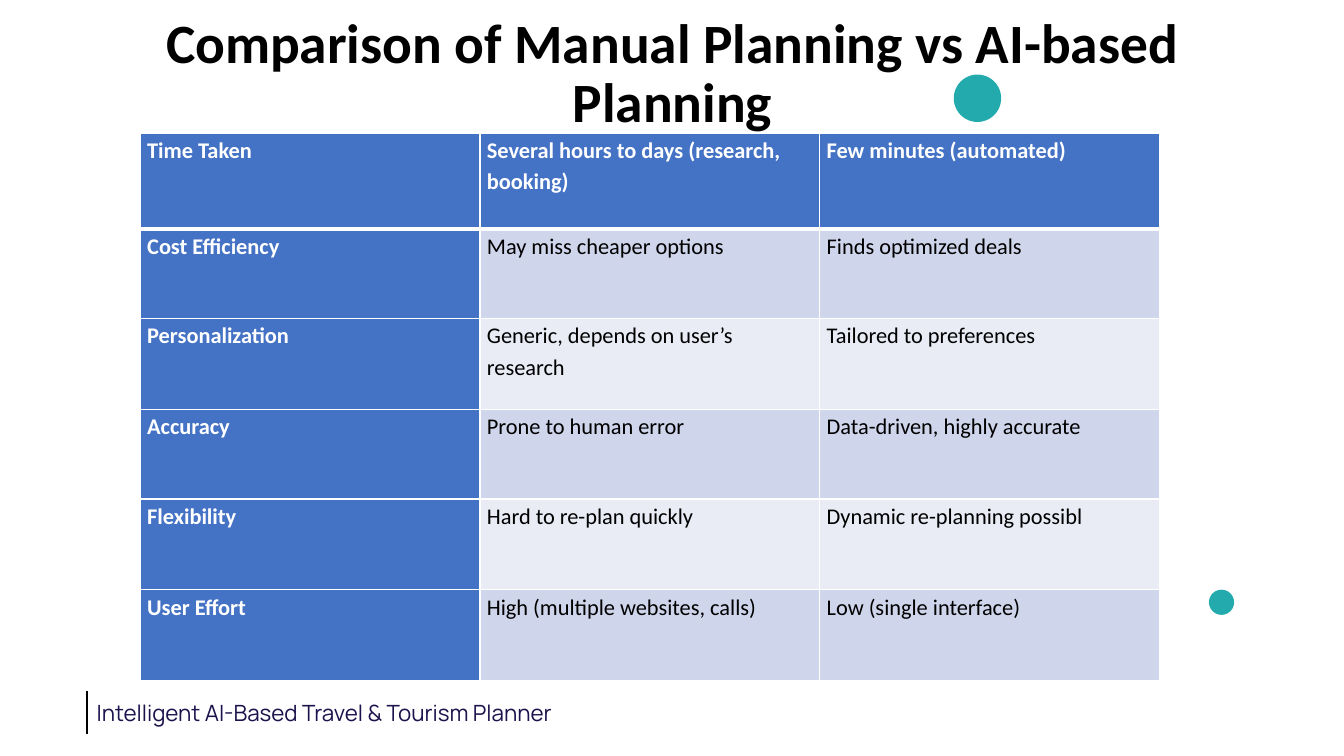
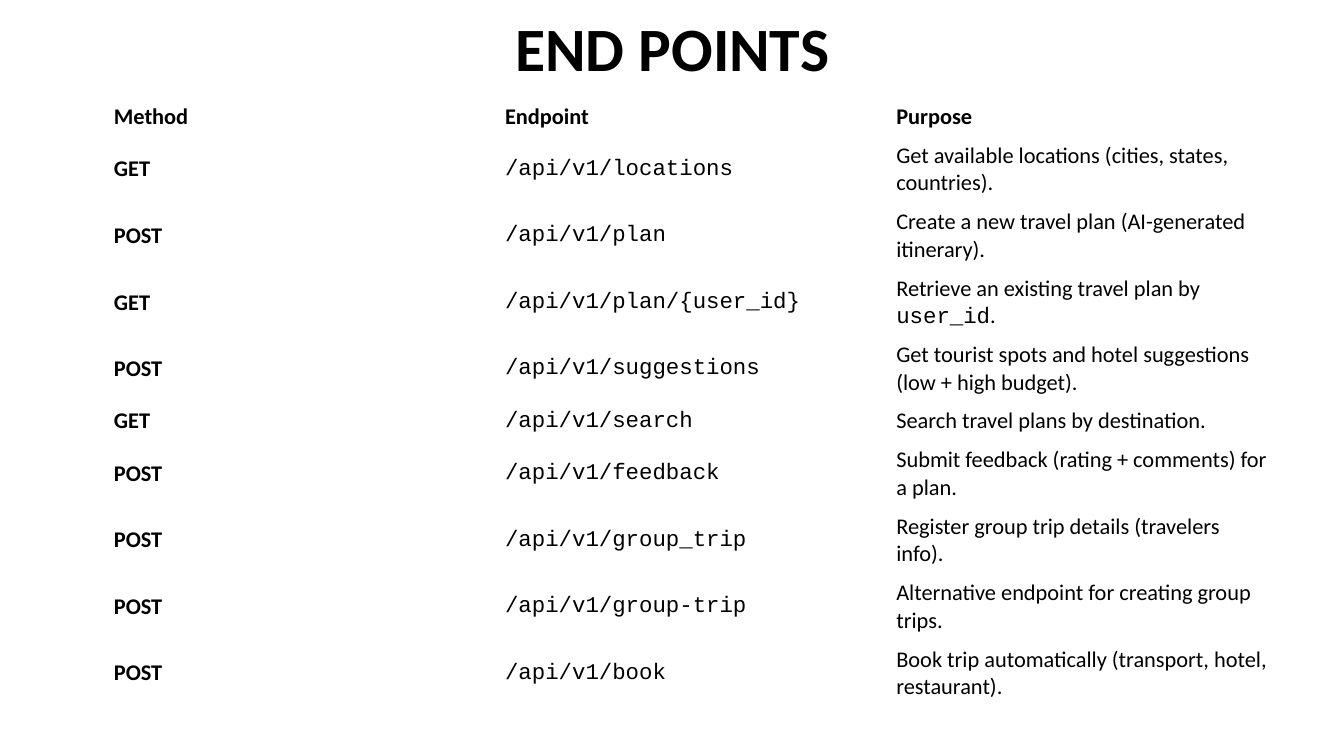
from dataclasses import dataclass

from lxml.etree import SubElement
from pptx import Presentation
from pptx.dml.color import RGBColor
from pptx.enum.shapes import MSO_CONNECTOR, MSO_SHAPE
from pptx.enum.text import MSO_ANCHOR, MSO_AUTO_SIZE, PP_ALIGN
from pptx.oxml.ns import qn
from pptx.slide import Slide
from pptx.table import Table, _Cell
from pptx.text.text import TextFrame
from pptx.util import Inches, Pt

# Shared look
BLACK, WHITE = "000000", "FFFFFF"
HEADING_BLUE, BAND_DARK, BAND_LIGHT = "4472C4", "CFD5EA", "E9EBF5"
TEAL, NAVY = "23AAAD", "1B134C"
BODY_FONT, CODE_FONT, FOOTER_FONT = "Calibri", "Courier New", "Manrope"
TITLE_ONLY = 5


@dataclass(frozen=True)
class Box:
    left: float
    top: float
    width: float
    height: float

    def lengths(self) -> tuple:
        return tuple(map(Inches, (self.left, self.top, self.width, self.height)))


@dataclass(frozen=True)
class Comparison:
    aspect: str
    manual: str
    automated: str
    height: float


@dataclass(frozen=True)
class Endpoint:
    method: str
    address: str
    purpose: str
    height: float = 0.66


# Text between backticks is set in the code font
COMPARISONS = [
    Comparison("Time Taken", "Several hours to days (research, booking)",
               "Few minutes (automated)", 0.95),
    Comparison("Cost Efficiency", "May miss cheaper options", "Finds optimized deals", 0.89),
    Comparison("Personalization", "Generic, depends on user’s research",
               "Tailored to preferences", 0.9),
    Comparison("Accuracy", "Prone to human error", "Data-driven, highly accurate", 0.89),
    Comparison("Flexibility", "Hard to re-plan quickly", "Dynamic re-planning possibl", 0.9),
    Comparison("User Effort", "High (multiple websites, calls)", "Low (single interface)", 0.9),
]
ENDPOINTS = [
    Endpoint("Method", "Endpoint", "Purpose", 0.38),
    Endpoint("GET", "`/api/v1/locations`", "Get available locations (cities, states, countries)."),
    Endpoint("POST", "`/api/v1/plan`", "Create a new travel plan (AI-generated itinerary)."),
    Endpoint("GET", "`/api/v1/plan/{user_id}`",
             "Retrieve an existing travel plan by `user_id`."),
    Endpoint("POST", "`/api/v1/suggestions`",
             "Get tourist spots and hotel suggestions (low + high budget)."),
    Endpoint("GET", "`/api/v1/search`", "Search travel plans by destination.", 0.38),
    Endpoint("POST", "`/api/v1/feedback`", "Submit feedback (rating + comments) for a plan."),
    Endpoint("POST", "`/api/v1/group_trip`", "Register group trip details (travelers info)."),
    Endpoint("POST", "`/api/v1/group-trip`", "Alternative endpoint for creating group trips."),
    Endpoint("POST", "`/api/v1/book`",
             "Book trip automatically (transport, hotel, restaurant)."),
]
DOTS = [Box(9.46, 0.74, 0.47, 0.47), Box(11.99, 5.85, 0.25, 0.25)]


def rgb(value: str) -> RGBColor:
    return RGBColor.from_string(value)


def write(frame: TextFrame, text: str, *, size: float = 16, font: str = BODY_FONT,
          color: str = BLACK, bold: bool = False, align: PP_ALIGN = PP_ALIGN.LEFT,
          line_spacing: float = 1.0, space_after: float = 0) -> None:
    paragraph = frame.paragraphs[0]
    paragraph.alignment = align
    paragraph.line_spacing = line_spacing
    paragraph.space_before = Pt(0)
    paragraph.space_after = Pt(space_after)
    for index, part in enumerate(text.split("`")):
        if part:
            run = paragraph.add_run()
            run.text = part
            run.font.size = Pt(size)
            run.font.name = CODE_FONT if index % 2 else font
            run.font.bold = bold
            run.font.color.rgb = rgb(color)


def add_titled_slide(deck: Presentation, heading: str, box: Box, size: float) -> Slide:
    slide = deck.slides.add_slide(deck.slide_layouts[TITLE_ONLY])
    title = slide.shapes.title
    title.left, title.top, title.width, title.height = box.lengths()
    frame = title.text_frame
    frame.word_wrap = True
    frame.auto_size = MSO_AUTO_SIZE.NONE
    frame.vertical_anchor = MSO_ANCHOR.MIDDLE
    write(frame, heading, size=size, bold=True, align=PP_ALIGN.CENTER, line_spacing=0.9)
    return slide


def add_plain_table(slide: Slide, left: float, top: float, column_width: float,
                    heights: list[float]) -> Table:
    box = Box(left, top, 3 * column_width, sum(heights))
    table = slide.shapes.add_table(len(heights), 3, *box.lengths()).table
    table.first_row = table.horz_banding = False
    for column in table.columns:
        column.width = Inches(column_width)
    for row, height in zip(table.rows, heights):
        row.height = Inches(height)
    return table


def set_margins(cell: _Cell, side: float, end: float) -> None:
    cell.margin_left = cell.margin_right = Inches(side)
    cell.margin_top = cell.margin_bottom = Inches(end)


def set_borders(cell: _Cell, top: float = 1, bottom: float = 1) -> None:
    properties = cell._tc.get_or_add_tcPr()
    for side, width in (("L", 1), ("R", 1), ("T", top), ("B", bottom)):
        line = SubElement(properties, qn(f"a:ln{side}"), w=str(Pt(width)))
        SubElement(SubElement(line, qn("a:solidFill")), qn("a:srgbClr"), val=WHITE)


def add_dot(slide: Slide, box: Box) -> None:
    dot = slide.shapes.add_shape(MSO_SHAPE.FLOWCHART_CONNECTOR, *box.lengths())
    dot.shadow.inherit = False
    dot.fill.solid()
    dot.fill.fore_color.rgb = rgb(TEAL)
    dot.line.fill.background()


def add_footer(slide: Slide, text: str) -> None:
    left = 0.86
    label = slide.shapes.add_textbox(*Box(left, 6.89, 5.25, 0.37).lengths())
    label.text_frame.word_wrap = True
    write(label.text_frame, text, font=FOOTER_FONT, color=NAVY)
    rule = slide.shapes.add_connector(
        MSO_CONNECTOR.STRAIGHT, Inches(left), Inches(6.86), Inches(left), Inches(7.28))
    rule.line.color.rgb = rgb(BLACK)
    rule.line.width = Pt(1.5)
    SubElement(rule._element.spPr, qn("a:effectLst"))


def build_comparison(deck: Presentation) -> None:
    slide = add_titled_slide(deck, "Comparison of Manual Planning vs AI-based Planning",
                             Box(0.92, 0.15, 11.5, 1.19), 39.6)
    table = add_plain_table(slide, 1.39, 1.32, 3.37, [item.height for item in COMPARISONS])
    for row, item in enumerate(COMPARISONS):
        for column, text in enumerate((item.aspect, item.manual, item.automated)):
            cell = table.cell(row, column)
            is_heading = row == 0 or column == 0
            band = BAND_DARK if row % 2 else BAND_LIGHT
            set_margins(cell, 0.07, 0)
            # The heading row ends in a thicker rule
            set_borders(cell, top=3 if row == 1 else 1, bottom=3 if row == 0 else 1)
            cell.fill.solid()
            cell.fill.fore_color.rgb = rgb(HEADING_BLUE if is_heading else band)
            write(cell.text_frame, text, color=WHITE if is_heading else BLACK,
                  bold=is_heading, line_spacing=1.15, space_after=8)
    for box in DOTS:
        add_dot(slide, box)
    add_footer(slide, "Intelligent AI-Based Travel & Tourism Planner")


def build_endpoints(deck: Presentation) -> None:
    slide = add_titled_slide(deck, "END POINTS", Box(0.92, 0.18, 11.5, 0.67), 44)
    table = add_plain_table(slide, 1.04, 0.97, 3.88, [item.height for item in ENDPOINTS])
    for row, item in enumerate(ENDPOINTS):
        for column, text in enumerate((item.method, item.address, item.purpose)):
            cell = table.cell(row, column)
            set_margins(cell, 0.09, 0.04)
            cell.vertical_anchor = MSO_ANCHOR.MIDDLE
            cell.fill.background()
            write(cell.text_frame, text, bold=row == 0 or column == 0)


def main() -> None:
    deck = Presentation()
    deck.slide_width, deck.slide_height = Inches(13.33), Inches(7.5)
    build_comparison(deck)
    build_endpoints(deck)
    deck.save("out.pptx")


if __name__ == "__main__":
    main()
